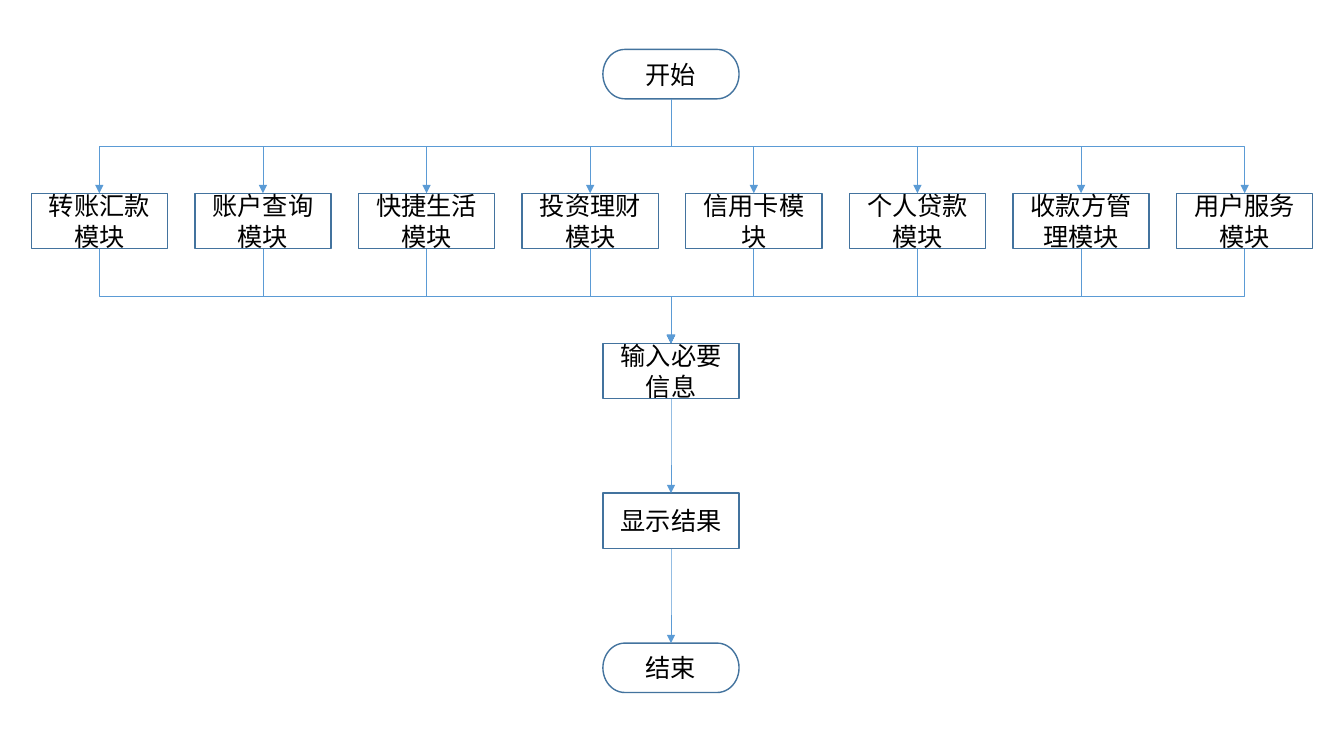
import pptx
import pptx.util
import pptx.dml.color
import pptx.enum.shapes
import pptx.enum.text
import pptx.oxml.ns
import lxml.etree
from dataclasses import dataclass

Inches = pptx.util.Inches
Pt = pptx.util.Pt
RGB = pptx.dml.color.RGBColor.from_string
Preset = pptx.enum.shapes.MSO_SHAPE
qn = pptx.oxml.ns.qn


@dataclass(frozen=True)
class Theme:
    font: str = "Noto Sans CJK SC"
    text_size: float = 18
    text_color: str = "000000"
    outline_color: str = "43739E"
    outline_width: float = 1
    arrow_color: str = "5B9BD5"
    arrow_width: float = 0.5


@dataclass(frozen=True)
class Box:
    left: float
    top: float
    width: float
    height: float


THEME = Theme()
STEP_WIDTH = 1.35
STEP_HEIGHT = 0.55
TERMINAL_HEIGHT = 0.49
TOP_SITE, BOTTOM_SITE = 0, 2
MODULES = ["转账汇款模块", "账户查询模块", "快捷生活模块", "投资理财模块",
           "信用卡模块", "个人贷款模块", "收款方管理模块", "用户服务模块"]


def write_text(frame, text, size=THEME.text_size, color=THEME.text_color,
               align=pptx.enum.text.PP_ALIGN.CENTER):
    frame.word_wrap = True
    frame.vertical_anchor = pptx.enum.text.MSO_ANCHOR.MIDDLE
    paragraph = frame.paragraphs[0]
    paragraph.alignment = align
    run = paragraph.add_run()
    run.text = text
    run.font.size = Pt(size)
    run.font.name = THEME.font
    run.font.color.rgb = RGB(color)
    east_asian = lxml.etree.SubElement(run.font._element, qn("a:ea"))
    east_asian.set("typeface", THEME.font)


def add_step(slide, text, box, preset=Preset.RECTANGLE):
    step = slide.shapes.add_shape(preset, Inches(box.left), Inches(box.top),
                                  Inches(box.width), Inches(box.height))
    step.shadow.inherit = False
    step.fill.background()
    step.line.color.rgb = RGB(THEME.outline_color)
    step.line.width = Pt(THEME.outline_width)
    write_text(step.text_frame, text)
    return step


def add_arrow(slide, source, target):
    start_x, start_y = source.left + source.width // 2, source.top + source.height
    end_x, end_y = target.left + target.width // 2, target.top
    drop, spread = end_y - start_y, abs(end_x - start_x)
    arrow = slide.shapes.add_connector(pptx.enum.shapes.MSO_CONNECTOR.ELBOW,
                                       start_x, start_y, end_x, end_y)
    arrow.begin_connect(source, BOTTOM_SITE)
    arrow.end_connect(target, TOP_SITE)
    arrow.left = (start_x + end_x - drop) // 2
    arrow.top = (start_y + end_y - spread) // 2
    arrow.width, arrow.height = drop, spread
    goes_right = end_x > start_x
    properties = arrow._element.spPr
    properties.xfrm.rot = 270 if goes_right else 90
    properties.xfrm.flipH = goes_right
    properties.xfrm.flipV = False
    arrow.line.color.rgb = RGB(THEME.arrow_color)
    arrow.line.width = Pt(THEME.arrow_width)
    head = lxml.etree.SubElement(arrow.line._get_or_add_ln(), qn("a:tailEnd"))
    head.set("type", "triangle")
    lxml.etree.SubElement(properties, qn("a:effectLst"))


def add_module_row(slide, box):
    pitch = (box.width - STEP_WIDTH) / (len(MODULES) - 1)
    return [add_step(slide, name, Box(box.left + index * pitch, box.top, STEP_WIDTH, box.height))
            for index, name in enumerate(MODULES)]


def add_flowchart(slide, box):
    heights = [TERMINAL_HEIGHT] + [STEP_HEIGHT] * 3 + [TERMINAL_HEIGHT]
    gap = (box.height - sum(heights)) / (len(heights) - 1)
    tops = [box.top + sum(heights[:level]) + level * gap for level in range(len(heights))]
    center_left = box.left + (box.width - STEP_WIDTH) / 2 - 0.01

    def add_center_step(text, level, preset=Preset.RECTANGLE):
        place = Box(center_left, tops[level], STEP_WIDTH, heights[level])
        return add_step(slide, text, place, preset)

    start = add_center_step("开始", 0, Preset.FLOWCHART_TERMINATOR)
    modules = add_module_row(slide, Box(box.left, tops[1], box.width, heights[1]))
    entry = add_center_step("输入必要信息", 2)
    result = add_center_step("显示结果", 3)
    end = add_center_step("结束", 4, Preset.FLOWCHART_TERMINATOR)

    for module in modules:
        add_arrow(slide, start, module)
        add_arrow(slide, module, entry)
    add_arrow(slide, entry, result)
    add_arrow(slide, result, end)


def main():
    deck = pptx.Presentation()
    deck.slide_width, deck.slide_height = Inches(13.33), Inches(7.5)
    blank_layout = deck.slide_layouts[6]
    slide = deck.slides.add_slide(blank_layout)
    add_flowchart(slide, Box(left=0.31, top=0.49, width=12.71, height=6.38))
    deck.save("out.pptx")


main()
